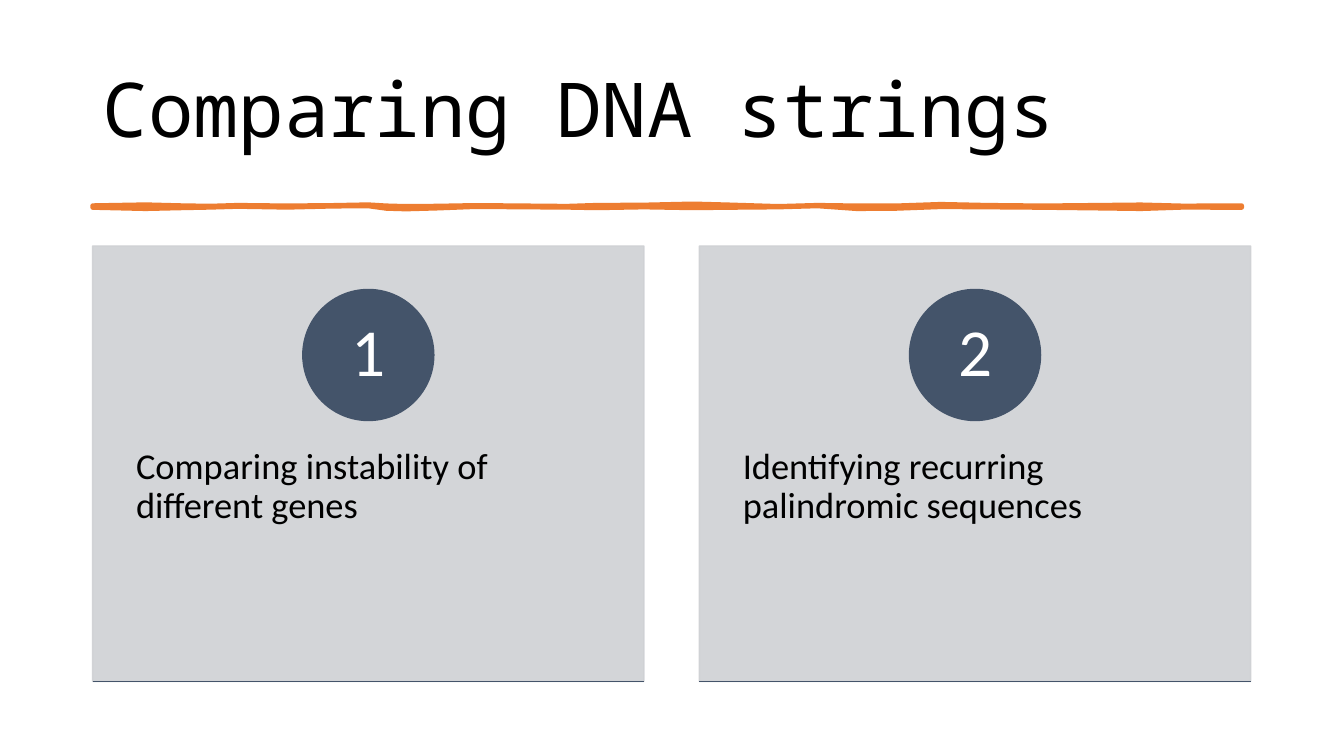
from dataclasses import dataclass

from lxml import etree
from pptx import Presentation
from pptx.dml.color import RGBColor
from pptx.enum import shapes as es, text as et
from pptx.oxml import ns
from pptx.util import Pt

HUES = {"ink": "000000", "paper": "FFFFFF", "rule": "ED7D31",
        "card": "CFD1D4", "navy": "44546A"}
LEFT, TOP = 66.2, 175.7
WIDE, HIGH = 393.8, 311.0
STEP = 433.4
DISC = 93.6
DROP = 31.1

# Brush stroke: x, upper edge, lower edge
STROKE = [
    (66.2, 146.9, 148.3), (104, 146.2, 149.2), (130, 146.9, 148.6),
    (150, 147.2, 148.2), (170, 146.6, 147.6), (205, 147, 148.2),
    (238, 146.7, 147.4), (263, 146.2, 147.2), (276, 147, 149),
    (290, 147.4, 149.4), (312, 147.2, 148.8), (340, 146.7, 147.7),
    (375, 147, 148), (405, 147.3, 148.2), (426, 146.6, 148.6),
    (460, 146.4, 148), (495, 145.6, 148.6), (520, 146.3, 148.3),
    (556, 147.4, 148), (584, 146.6, 147.2), (612, 147, 149.2),
    (640, 147, 149), (672, 145.9, 147.8), (705, 146.6, 148),
    (745, 147, 148.3), (785, 146.6, 148.8), (815, 146.3, 149.2),
    (845, 147.1, 148.2), (887, 146.9, 148.3),
]


@dataclass
class Card:
    mark: str
    note: str


CARDS = [Card("1", "Comparing instability of different genes"),
         Card("2", "Identifying recurring palindromic sequences")]


def hue(name: str) -> RGBColor:
    return RGBColor.from_string(HUES[name])


def write(shape, words: str, *, size: float, font: str = "Calibri",
          color: str = "ink", align=et.PP_ALIGN.LEFT,
          anchor=et.MSO_ANCHOR.TOP, pad: tuple = (7.2, 3.6)) -> None:
    frame = shape.text_frame
    frame.word_wrap = True
    frame.auto_size = et.MSO_AUTO_SIZE.NONE
    frame.vertical_anchor = anchor
    frame.margin_left = frame.margin_right = Pt(pad[0])
    frame.margin_top = frame.margin_bottom = Pt(pad[1])
    para = frame.paragraphs[0]
    para.alignment, para.line_spacing = align, 0.9
    run = para.add_run()
    run.text = words
    run.font.size, run.font.name = Pt(size), font
    run.font.color.rgb = hue(color)


def paint(shape, color: str, width: float = 1) -> None:
    shape.shadow.inherit = False
    shape.fill.solid()
    shape.fill.fore_color.rgb = hue(color)
    shape.line.color.rgb = hue(color)
    shape.line.width = Pt(width)


def fade(shape, share: int) -> None:
    """Set the opacity of fill and line, in percent."""
    for tone in shape._element.spPr.iter(ns.qn("a:srgbClr")):
        etree.SubElement(tone, ns.qn("a:alpha"), val=str(share * 1000))


def draw_stroke(slide) -> None:
    edge = [(x, top) for x, top, _ in STROKE]
    edge += [(x, low) for x, _, low in reversed(STROKE)]
    pen = slide.shapes.build_freeform(*map(Pt, edge[0]), scale=1.0)
    pen.add_line_segments([(Pt(x), Pt(y)) for x, y in edge[1:]], close=True)
    brush = pen.convert_to_shape()
    paint(brush, "rule", 3.25)
    etree.SubElement(brush.line._get_or_add_ln(), ns.qn("a:round"))


def draw_card(slide, card: Card, left: float) -> None:
    add = slide.shapes
    panel = add.add_shape(es.MSO_SHAPE.RECTANGLE, Pt(left), Pt(TOP),
                          Pt(WIDE), Pt(HIGH))
    paint(panel, "card")
    fade(panel, 90)

    note = add.add_textbox(Pt(left), Pt(293.8), Pt(WIDE), Pt(186.5))
    write(note, card.note, size=26, pad=(31, 25.9))

    disc = add.add_shape(es.MSO_SHAPE.OVAL, Pt(left + (WIDE - DISC) / 2),
                         Pt(TOP + DROP), Pt(DISC), Pt(DISC))
    paint(disc, "navy")
    write(disc, card.mark, size=48, color="paper", pad=(7.2, 0.7),
          align=et.PP_ALIGN.CENTER, anchor=et.MSO_ANCHOR.MIDDLE)

    base = TOP + HIGH
    foot = add.add_connector(es.MSO_CONNECTOR.STRAIGHT, Pt(left), Pt(base),
                             Pt(left + WIDE), Pt(base))
    foot.line.color.rgb = hue("navy")
    foot.line.width = Pt(1)
    etree.SubElement(foot._element.spPr, ns.qn("a:effectLst"))


def main() -> None:
    deck = Presentation()
    deck.slide_width, deck.slide_height = Pt(960), Pt(540)
    slide = deck.slides.add_slide(deck.slide_layouts[5])

    title = slide.shapes.title
    title.left, title.top = Pt(LEFT), Pt(28.8)
    title.width, title.height = Pt(828), Pt(104.4)
    write(title, "Comparing DNA strings", size=54, font="Noto Sans Mono",
          anchor=et.MSO_ANCHOR.MIDDLE)

    draw_stroke(slide)
    for i, card in enumerate(CARDS):
        draw_card(slide, card, LEFT + i * STEP)
    deck.save("out.pptx")


if __name__ == "__main__":
    main()
